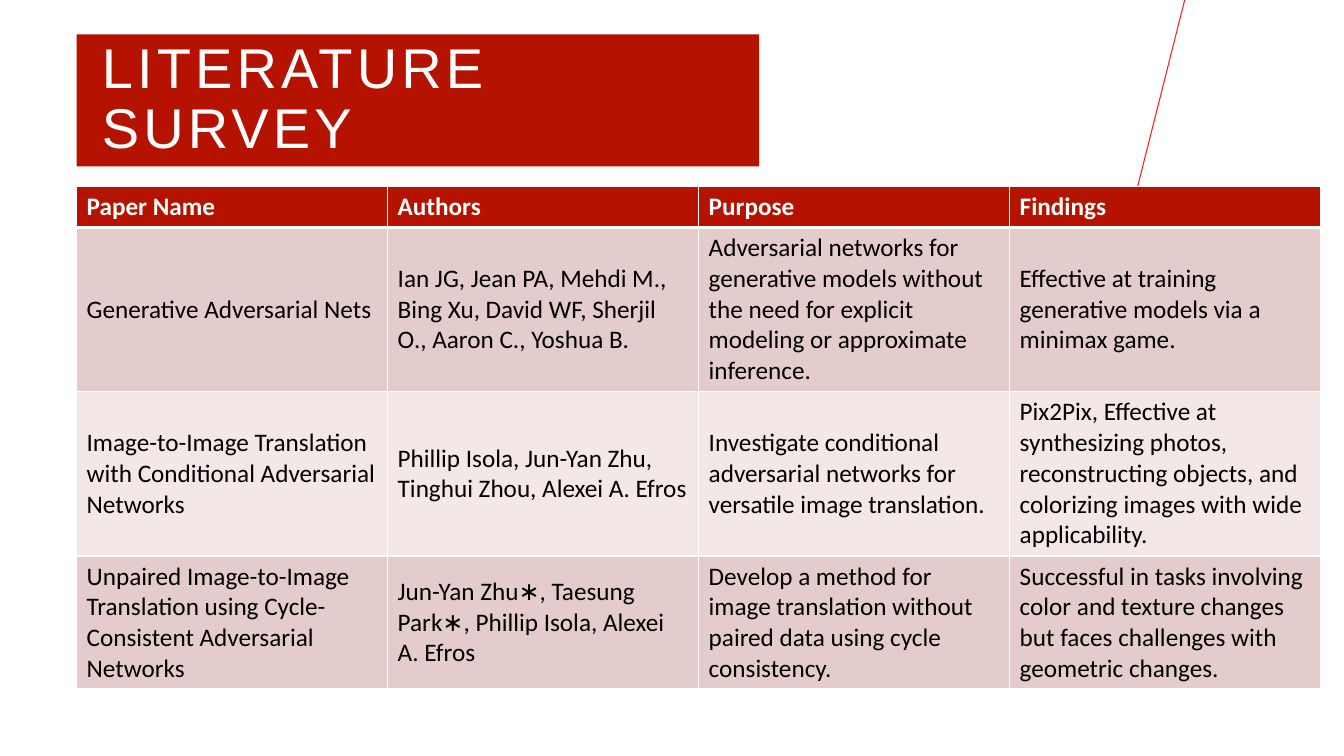
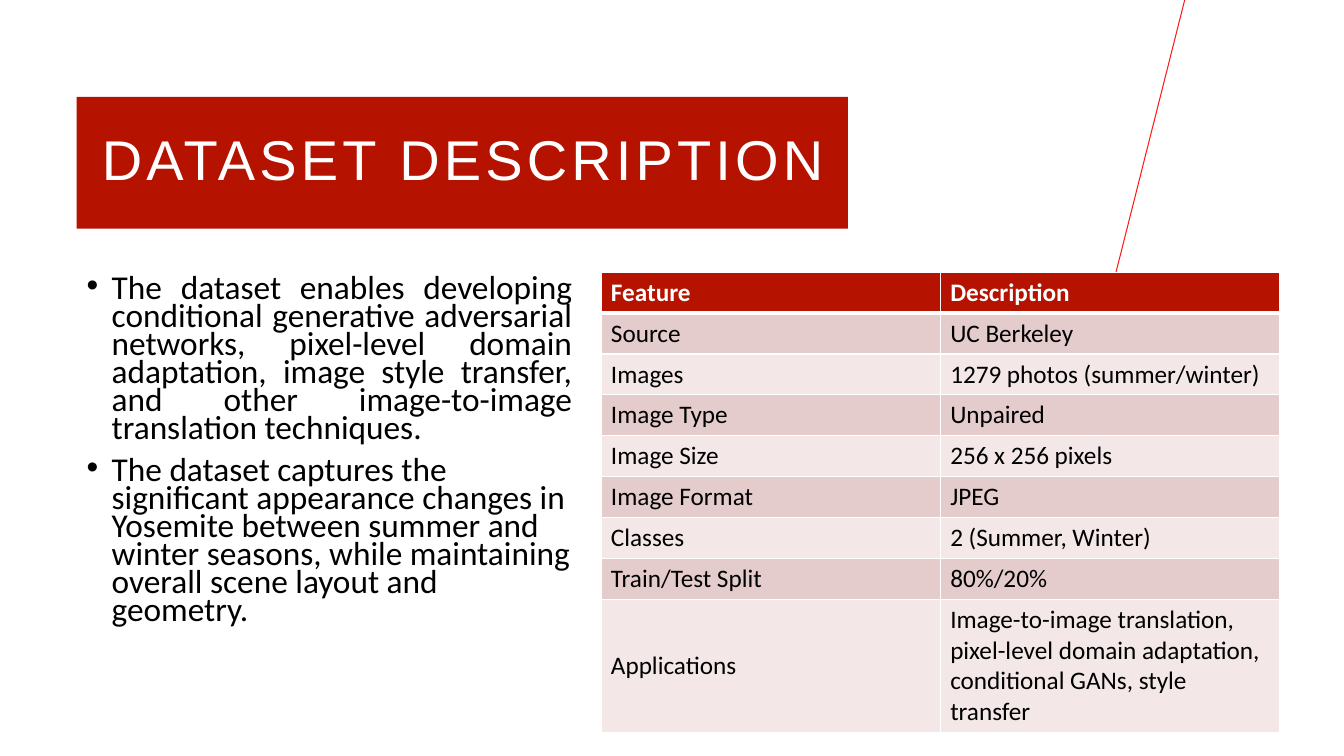
"""Build two red-banner slides: a literature survey and a dataset description."""
from lxml.etree import SubElement
from pptx import Presentation
from pptx.dml.color import RGBColor
from pptx.enum.shapes import MSO_CONNECTOR
from pptx.enum.text import MSO_ANCHOR, MSO_AUTO_SIZE, PP_ALIGN
from pptx.oxml import parse_xml
from pptx.oxml.ns import nsdecls, qn
from pptx.util import Inches, Pt

RED, ACCENT, WHITE, BLACK = "B51200", "FD1B17", "FFFFFF", "000000"
BANDS = ("E5CCCC", "F3E7E7")
LEFT = 0.76
TITLE_HEIGHT = 1.31

SURVEY = [
    ("Paper Name", "Authors", "Purpose", "Findings"),
    ("Generative Adversarial Nets",
     "Ian JG, Jean PA, Mehdi M., Bing Xu, David WF, Sherjil O., Aaron C., Yoshua B.",
     "Adversarial networks for generative models without the need for explicit modeling "
     "or approximate inference.",
     "Effective at training generative models via a minimax game."),
    ("Image-to-Image Translation with Conditional Adversarial Networks",
     "Phillip Isola, Jun-Yan Zhu, Tinghui Zhou, Alexei A. Efros",
     "Investigate conditional adversarial networks for versatile image translation.",
     "Pix2Pix, Effective at synthesizing photos, reconstructing objects, and colorizing "
     "images with wide applicability."),
    ("Unpaired Image-to-Image Translation using Cycle-Consistent Adversarial Networks",
     "Jun-Yan Zhu∗, Taesung Park∗, Phillip Isola, Alexei A. Efros",
     "Develop a method for image translation without paired data using cycle consistency.",
     "Successful in tasks involving color and texture changes but faces challenges with "
     "geometric changes."),
]
SURVEY_HEIGHTS = [0.4, 1.63, 1.63, 1.32]

FEATURES = [
    ("Feature", "Description"),
    ("Source", "UC Berkeley"),
    ("Images", "1279 photos (summer/winter)"),
    ("Image Type", "Unpaired"),
    ("Image Size", "256 x 256 pixels"),
    ("Image Format", "JPEG"),
    ("Classes", "2 (Summer, Winter)"),
    ("Train/Test Split", "80%/20%"),
    ("Applications", "Image-to-image translation, pixel-level domain adaptation, "
                     "conditional GANs, style transfer"),
]
FEATURE_HEIGHTS = [0.4] * 8 + [1.32]

NOTES = [
    ("The dataset enables developing conditional generative adversarial networks, "
     "pixel-level domain adaptation, image style transfer, and other image-to-image "
     "translation techniques.", PP_ALIGN.JUSTIFY),
    ("The dataset captures the significant appearance changes in Yosemite between summer "
     "and winter seasons, while maintaining overall scene layout and geometry.",
     PP_ALIGN.LEFT),
]


def rgb(color):
    """Return the colour for a hex string."""
    return RGBColor.from_string(color)


def style_run(r, size, color, font="Calibri", bold=False):
    """Format one run."""
    r.font.name, r.font.size, r.font.bold = font, Pt(size), bold
    r.font.color.rgb = rgb(color)


def add_slide(prs, title, top, width):
    """Add a slide with the slanted line and the red title band."""
    s = prs.slides.add_slide(prs.slide_layouts[5])
    line = s.shapes.add_connector(MSO_CONNECTOR.STRAIGHT, Inches(11.75), 0,
                                  Inches(10.07), Inches(6.66))
    line.line.color.rgb, line.line.width = rgb(ACCENT), Pt(0.75)
    SubElement(line._element.spPr, qn("a:effectLst"))

    sp = s.shapes.title
    sp.left, sp.top = Inches(LEFT), Inches(top)
    sp.width, sp.height = Inches(width), Inches(TITLE_HEIGHT)
    sp.fill.solid()
    sp.fill.fore_color.rgb = rgb(RED)
    tf = sp.text_frame
    tf.text = title
    tf.word_wrap, tf.auto_size = True, MSO_AUTO_SIZE.NONE
    tf.vertical_anchor = MSO_ANCHOR.MIDDLE
    tf.margin_left = Inches(0.25)
    p = tf.paragraphs[0]
    p.alignment, p.line_spacing = PP_ALIGN.LEFT, 0.9
    style_run(p.runs[0], 40, WHITE, "Arial")
    p.runs[0].font._element.set("spc", "300")
    return s


def set_borders(cell, bottom):
    """Draw white borders around a cell."""
    tc_pr = cell._tc.get_or_add_tcPr()
    for i, (side, width) in enumerate(zip("LRTB", (1, 1, 1, bottom))):
        tc_pr.insert(i, parse_xml(
            f'<a:ln{side} {nsdecls("a")} w="{Pt(width)}"><a:solidFill>'
            f'<a:srgbClr val="{WHITE}"/></a:solidFill></a:ln{side}>'))


def add_table(s, rows, heights, left, top, width):
    """Add a table with a red header and alternating rows."""
    columns = len(rows[0])
    table = s.shapes.add_table(len(rows), columns, Inches(left), Inches(top),
                               Inches(width), Inches(sum(heights))).table
    for column in table.columns:
        column.width = Inches(width / columns)
    for i, (row, height) in enumerate(zip(rows, heights)):
        header = i == 0
        table.rows[i].height = Inches(height)
        for j, text in enumerate(row):
            cell = table.cell(i, j)
            cell.text = text
            cell.vertical_anchor = MSO_ANCHOR.MIDDLE
            cell.fill.solid()
            cell.fill.fore_color.rgb = rgb(RED if header else BANDS[(i - 1) % 2])
            style_run(cell.text_frame.paragraphs[0].runs[0], 18,
                      WHITE if header else BLACK, bold=header)
            set_borders(cell, 3 if header else 1)


def add_bullets(s, items, left, top, width, height):
    """Add a bulleted text box."""
    tf = s.shapes.add_textbox(Inches(left), Inches(top),
                              Inches(width), Inches(height)).text_frame
    tf.word_wrap = True
    for i, (text, alignment) in enumerate(items):
        p = tf.add_paragraph() if i else tf.paragraphs[0]
        p.text = text
        p.alignment, p.line_spacing, p.space_before = alignment, 0.7, Pt(10)
        p_pr = p._p.get_or_add_pPr()
        p_pr.set("marL", str(Inches(0.25)))
        p_pr.set("indent", str(-Inches(0.25)))
        SubElement(p_pr, qn("a:buFont"), typeface="Arial")
        SubElement(p_pr, qn("a:buChar"), char="•")
        style_run(p.runs[0], 23.8, BLACK)


def main():
    """Build and save the presentation."""
    prs = Presentation()
    prs.slide_width, prs.slide_height = Inches(13.33), Inches(7.5)

    s = add_slide(prs, "LITERATURE SURVEY", 0.34, 6.77)
    add_table(s, SURVEY, SURVEY_HEIGHTS, LEFT, 1.85, 12.34)

    s = add_slide(prs, "DATASET DESCRIPTION", 0.96, 7.65)
    add_table(s, FEATURES, FEATURE_HEIGHTS, 5.96, 2.7, 6.73)
    add_bullets(s, NOTES, LEFT, 2.7, 5.01, 3.92)

    prs.save("out.pptx")


if __name__ == "__main__":
    main()
